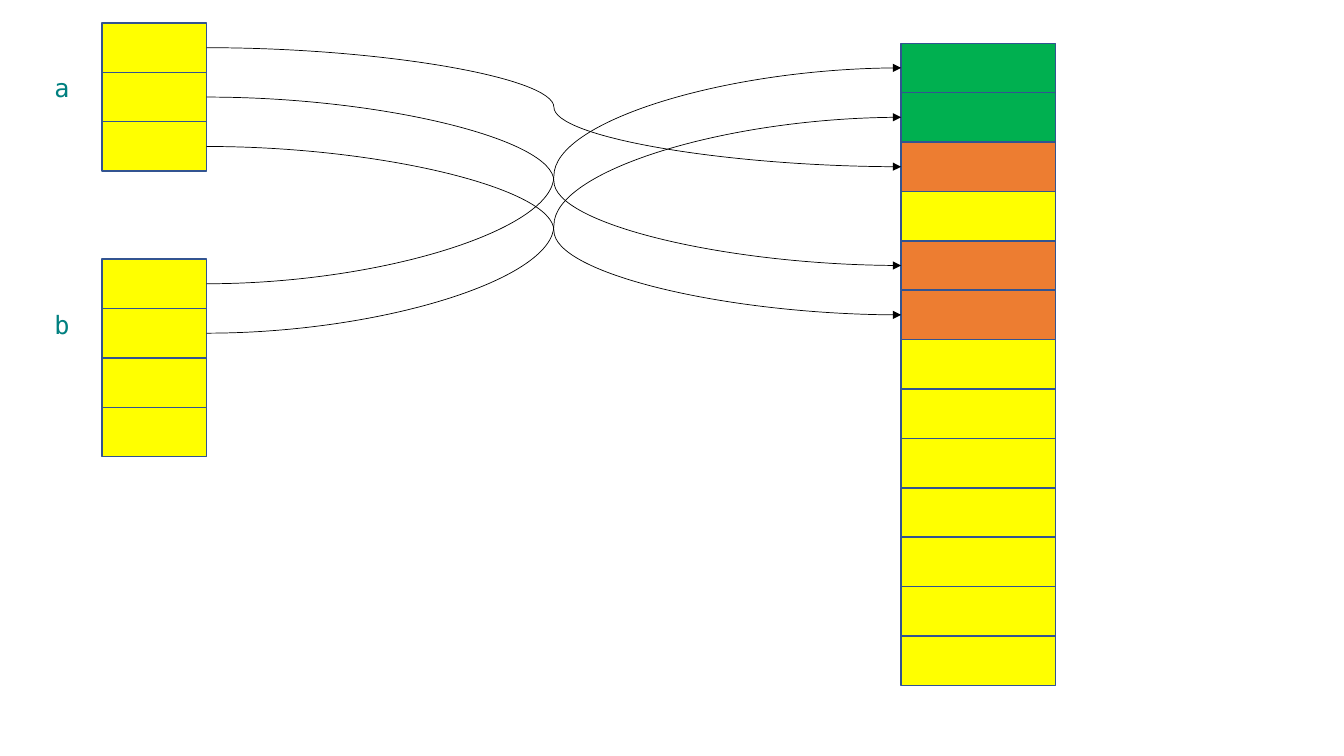
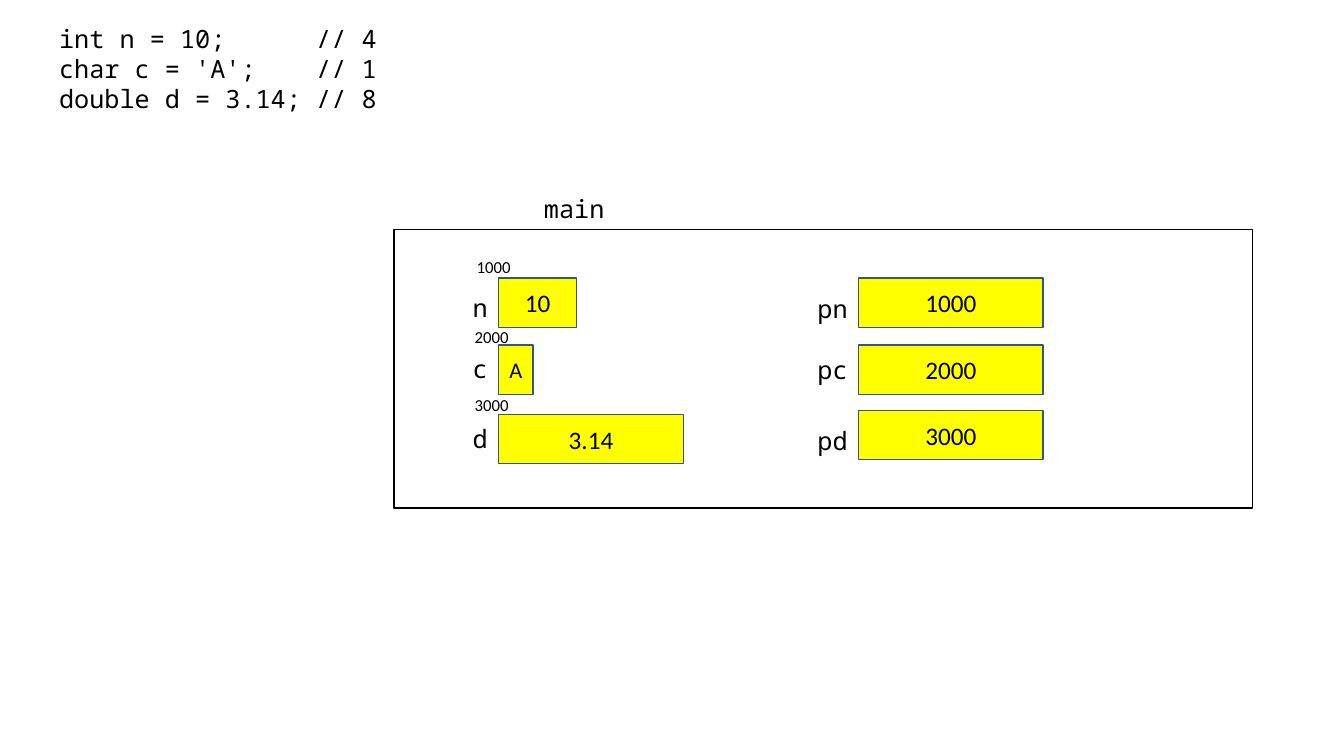
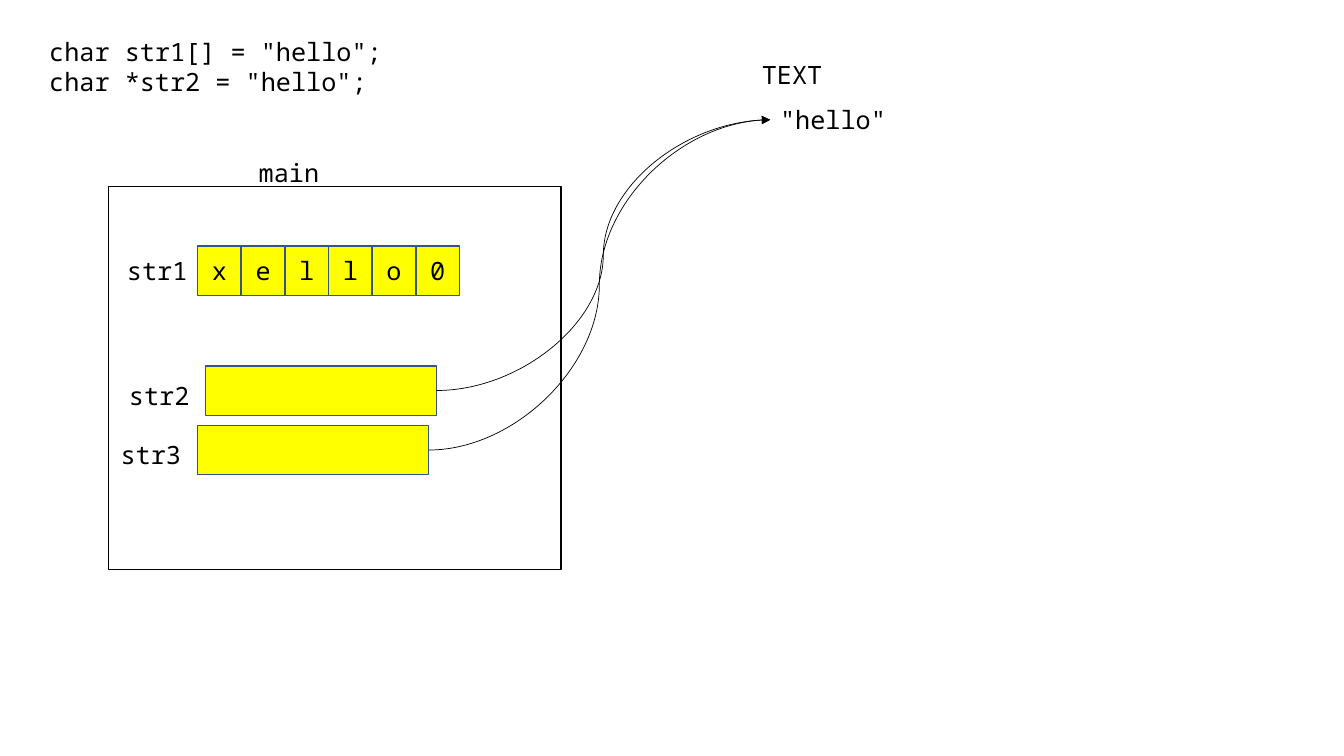
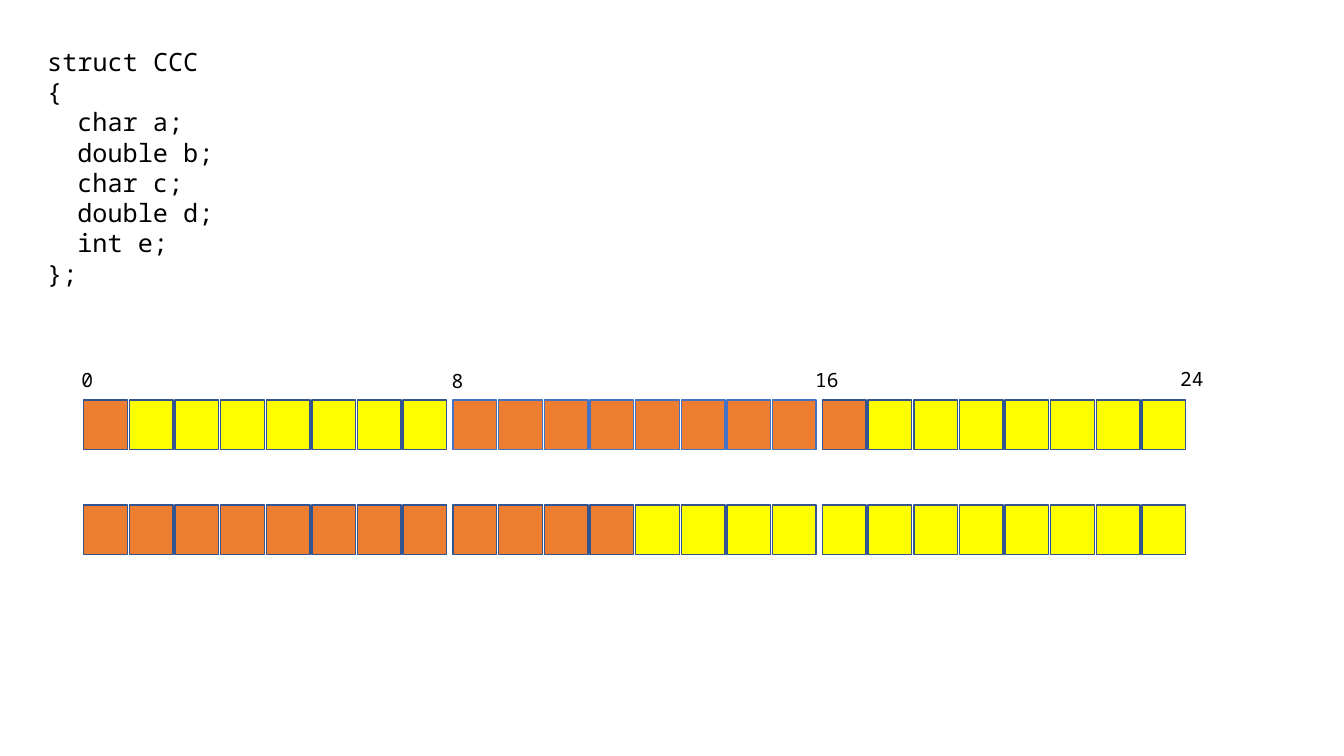
from lxml.etree import SubElement
from pptx import Presentation
from pptx.dml.color import RGBColor
from pptx.enum.shapes import MSO_CONNECTOR, MSO_SHAPE
from pptx.enum.text import MSO_ANCHOR, MSO_AUTO_SIZE, PP_ALIGN
from pptx.oxml.ns import qn
from pptx.util import Cm, Pt

BLACK = RGBColor(0x00, 0x00, 0x00)
WHITE = RGBColor(0xFF, 0xFF, 0xFF)
YELLOW = RGBColor(0xFF, 0xFF, 0x00)
ORANGE = RGBColor(0xED, 0x7D, 0x31)
GREEN = RGBColor(0x00, 0xB0, 0x50)
TEAL = RGBColor(0x00, 0x80, 0x80)
NAVY = RGBColor(0x32, 0x54, 0x91)
BLUE = RGBColor(0x44, 0x72, 0xC4)

CODE = {"name": "Noto Sans Mono", "size": Pt(18)}
TICK = {"name": "Noto Sans Mono", "size": Pt(14)}
NAME = {"name": "DejaVu Sans Mono", "size": Pt(18)}
VALUE = {"name": "Calibri", "size": Pt(18)}
SMALL = {"name": "Calibri", "size": Pt(16)}
PLACE = {"name": "Calibri", "size": Pt(12)}

# All lengths below are in centimetres.
TOWER_H = 16.18
ROW = TOWER_H / 13
LINE = 1.02
INSET = 0.25
CHAR = 0.38

FILLS = {"G": GREEN, "O": ORANGE, "Y": YELLOW}

# Two stacks whose cells point into the tower: name, top, cells, targets
TOWER = "GGOYOOYYYYYYY"
STACKS = [("a", 0.58, "YYY", (2, 4, 5)), ("b", 6.53, "YYYY", (0, 1))]

# Variables: code lines, boxes and their labels
VARS = ["int n = 10;\t// 4", "char c = 'A';\t// 1", "double d = 3.14;\t// 8"]
BOXES = [
    ("10", 12.57, 7.01, 1.96, VALUE), ("A", 12.57, 8.69, 0.86, SMALL),
    ("3.14", 12.57, 10.44, 4.65, VALUE), ("1000", 21.64, 7.01, 4.65, VALUE),
    ("2000", 21.64, 8.69, 4.65, VALUE), ("3000", 21.64, 10.34, 4.65, VALUE),
]
VAR_TAGS = [
    ("main", 13.46, 4.75, 2.24), ("n", 11.66, 7.24, 1.04),
    ("c", 11.66, 8.79, 1.04), ("d", 11.66, 10.54, 1.04),
    ("pn", 20.35, 7.26, 1.3), ("pc", 20.35, 8.81, 1.3),
    ("pd", 20.35, 10.59, 1.3),
]
PLACES = [("1000", 11.76, 6.35), ("2000", 11.71, 8.1), ("3000", 11.71, 9.83)]

# Strings
STRINGS = ['char str1[] = "hello";', 'char *str2 = "hello";']
LETTERS = "xello0"
STR_TAGS = [
    ("main", 6.27, 3.84, 2.24), ("TEXT", 18.95, 1.37, 2.31),
    ("str1", 2.95, 6.3, 2.13), ("str2", 3.0, 9.45, 2.13),
    ("str3", 2.79, 10.95, 2.13),
]
POINTERS = [(5.18, 9.22), (4.98, 10.72)]

# Struct layout: each row is three groups of eight bytes
STRUCT = ["struct CCC", "{", "char a;", "double b;", "char c;", "double d;",
          "int e;", "};"]
BYTES = [
    (10.08, ("OYYYYYYY", "OOOOOOOO", "OYYYYYYY"), (NAVY, BLUE, NAVY)),
    (12.73, ("OOOOOOOO", "OOOOYYYY", "YYYYYYYY"), (NAVY, NAVY, NAVY)),
]
TICKS = [("0", 1.8, 9.14, 0.86), ("8", 11.13, 9.17, 0.86),
         ("16", 20.29, 9.14, 1.3), ("24", 29.49, 9.12, 1.3)]


def put(item, values):
    """Set attributes of an object from a dict."""
    for key, value in values.items():
        setattr(item, key, value)


def write(par, text, font, color=BLACK):
    """Add one formatted run to a paragraph."""
    run = par.add_run()
    run.text = text
    put(run.font, font)
    run.font.color.rgb = color


def box(slide, x, y, w, h, fill=YELLOW, edge=NAVY, text="", font=VALUE):
    """Draw a filled rectangle with optional centred text."""
    shape = slide.shapes.add_shape(
        MSO_SHAPE.RECTANGLE, Cm(x), Cm(y), Cm(w), Cm(h))
    shape.shadow.inherit = False
    shape.fill.solid()
    shape.fill.fore_color.rgb = fill
    shape.line.color.rgb = edge
    shape.line.width = Pt(1)
    if text:
        shape.text_frame.vertical_anchor = MSO_ANCHOR.MIDDLE
        par = shape.text_frame.paragraphs[0]
        par.alignment = PP_ALIGN.CENTER
        write(par, text, font)
    return shape


def label(slide, lines, x, y, w, h=LINE, font=CODE, color=BLACK, left=INSET):
    """Add a text box with one paragraph per line."""
    shape = slide.shapes.add_textbox(Cm(x), Cm(y), Cm(w), Cm(h))
    frame = shape.text_frame
    put(frame, {"word_wrap": True, "margin_left": Cm(left),
                "auto_size": MSO_AUTO_SIZE.SHAPE_TO_FIT_TEXT})
    for i, line in enumerate(lines):
        par = frame.add_paragraph() if i else frame.paragraphs[0]
        write(par, line, font, color)
    return shape


def props(par):
    """Return the paragraph properties element."""
    return par._p.get_or_add_pPr()


def arrow(slide, start, end):
    """Join the right side of one shape to the left side of another."""
    link = slide.shapes.add_connector(MSO_CONNECTOR.CURVE, 0, 0, 0, 0)
    link.begin_connect(start, 3)
    link.end_connect(end, 1)
    link.line.color.rgb = BLACK
    link.line.width = Pt(0.5)
    SubElement(link.line._get_or_add_ln(), qn("a:tailEnd"), type="triangle")
    SubElement(link._element.spPr, qn("a:effectLst"))


def stack(slide, x, y, w, cells):
    """Draw a column of touching cells."""
    return [box(slide, x, y + i * ROW, w, ROW, FILLS[key])
            for i, key in enumerate(cells)]


def merge(slide):
    """Two stacks with arrows into a tower."""
    tower = stack(slide, 22.71, 1.09, 3.89, TOWER)
    for name, top, cells, goals in STACKS:
        col = stack(slide, 2.57, top, 2.64, cells)
        label(slide, [name], 1.12, top + 1.13, 0.99, font=NAME, color=TEAL)
        for cell, goal in zip(col, goals):
            arrow(slide, cell, tower[goal])


def memory(slide):
    """Variables and pointers in the frame of main."""
    box(slide, 9.93, 5.79, 21.64, 7.01, WHITE, BLACK)
    code = label(slide, VARS, 0.86, 0.46, 11.71, 2.57, left=INSET + CHAR)
    for par in code.text_frame.paragraphs:
        tabs = SubElement(props(par), qn("a:tabLst"))
        SubElement(tabs, qn("a:tab"), pos=str(Cm(6.48)), algn="l")
    for text, x, y, w, font in BOXES:
        box(slide, x, y, w, ROW, text=text, font=font)
    for text, x, y, w in VAR_TAGS:
        label(slide, [text], x, y, w)
    for text, x, y in PLACES:
        label(slide, [text], x, y, 1.8, 0.76, PLACE)


def strings(slide):
    """An array of letters and two pointers to a literal."""
    label(slide, STRINGS, 0.61, 0.79, 16.94, 1.8, left=INSET + CHAR)
    box(slide, 2.74, 4.7, 11.4, 9.65, WHITE, BLACK)
    for i, char in enumerate(LETTERS):
        box(slide, 4.98 + i * 1.1, 6.2, 1.1, ROW, text=char, font=CODE)
    for text, x, y, w in STR_TAGS:
        label(slide, [text], x, y, w)
    goal = label(slide, ['"hello"'], 19.41, 2.51, 3.71)
    for x, y in POINTERS:
        arrow(slide, box(slide, x, y, 5.82, ROW), goal)


def layout(slide):
    """A struct and the bytes that it fills."""
    code = label(slide, STRUCT, 0.94, 1.04, 6.32, 6.4)
    for par in code.text_frame.paragraphs[2:-1]:
        props(par).set("marL", str(Cm(2 * CHAR)))
    for top, groups, edges in BYTES:
        for g, (group, edge) in enumerate(zip(groups, edges)):
            for i, key in enumerate(group):
                x = 2.11 + g * 9.31 + i * 1.15
                box(slide, x, top, 1.1, ROW, FILLS[key], edge)
    for text, x, y, w in TICKS:
        label(slide, [text], x, y, w, 0.86, TICK)


deck = Presentation()
put(deck, {"slide_width": Cm(33.87), "slide_height": Cm(19.05)})
for draw in (merge, memory, strings, layout):
    draw(deck.slides.add_slide(deck.slide_layouts[6]))
deck.save("out.pptx")
